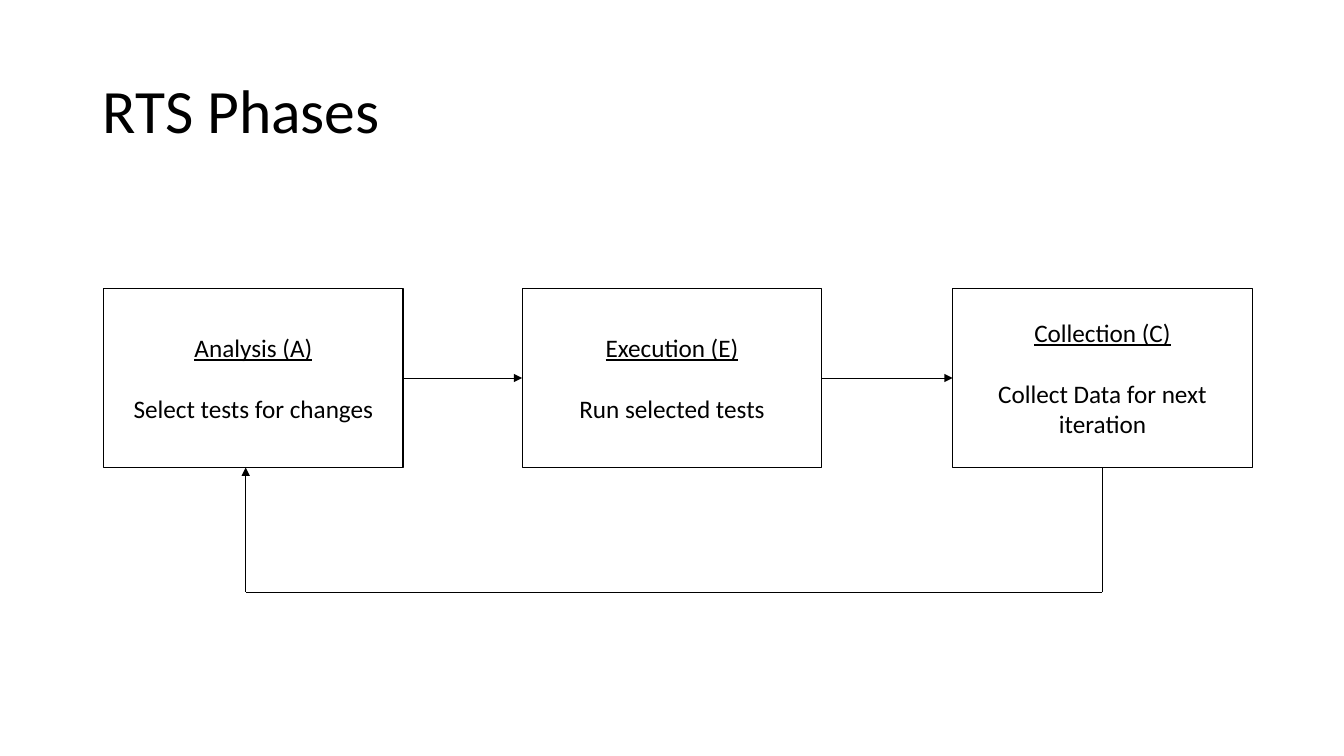
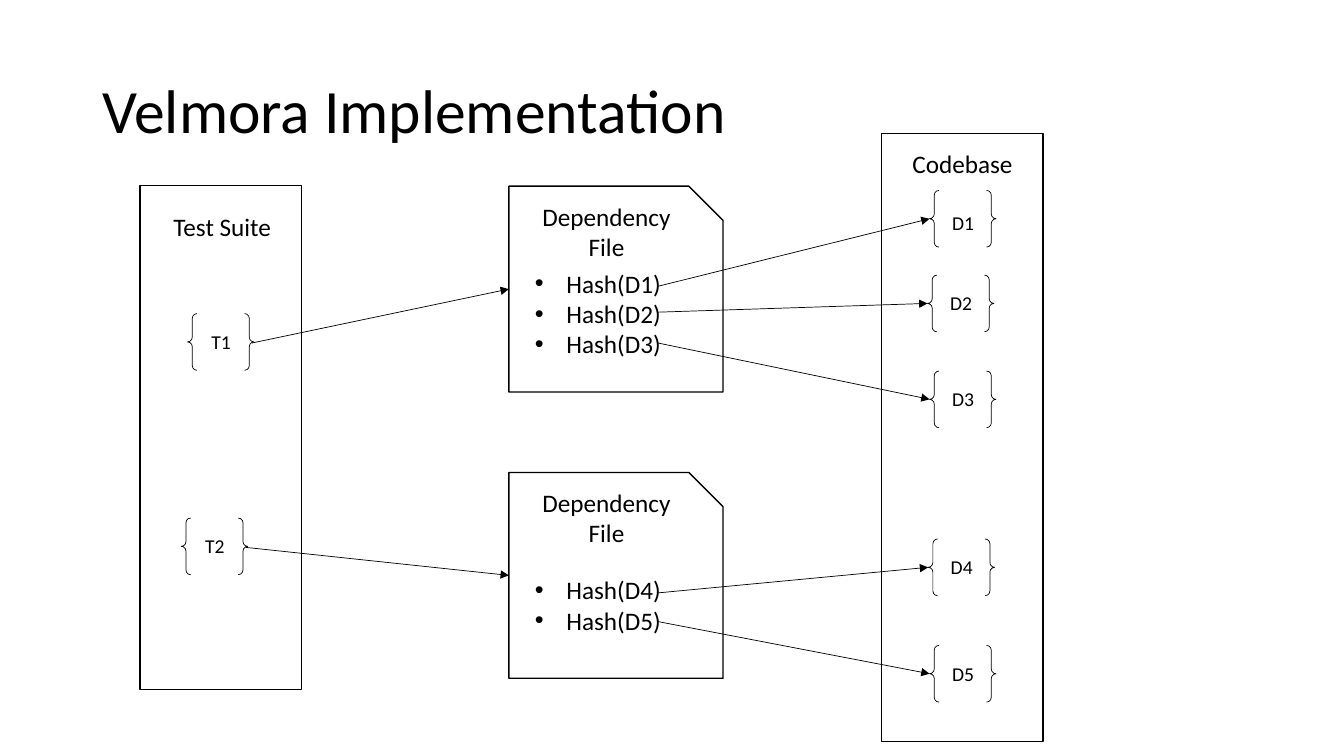
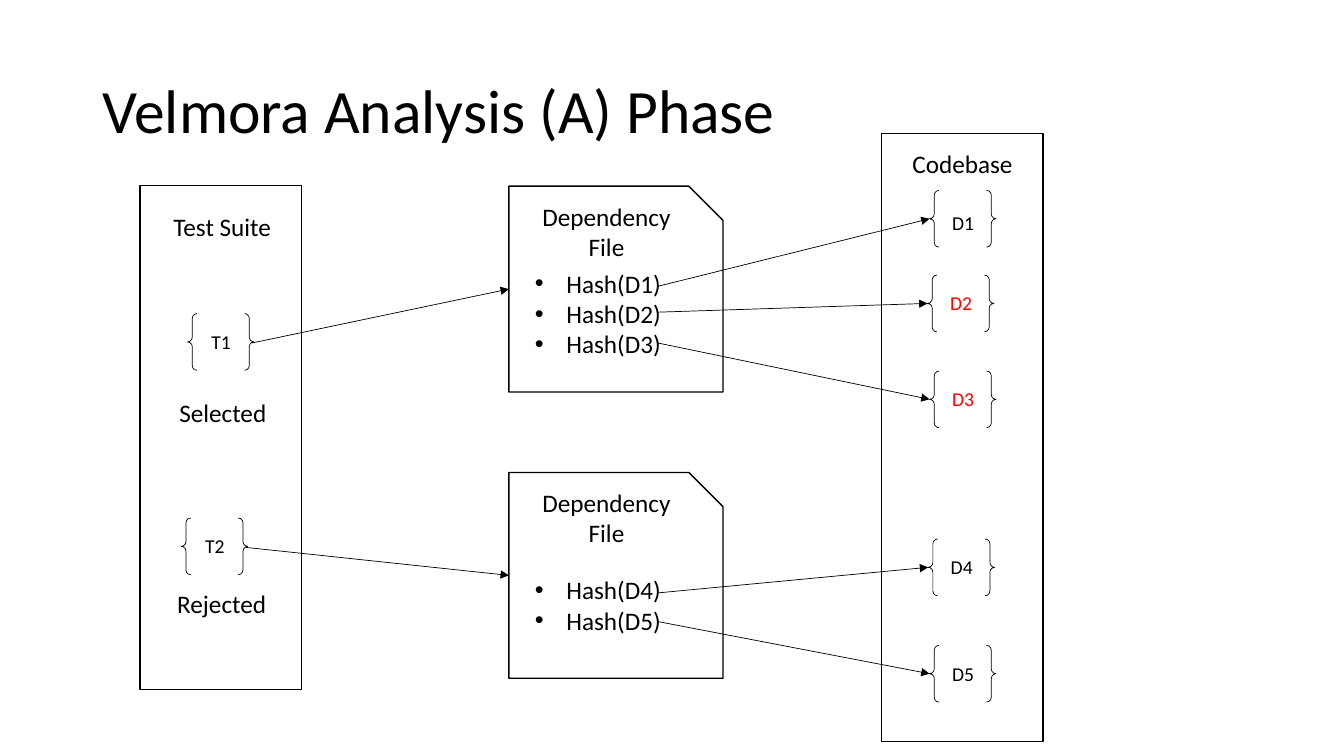
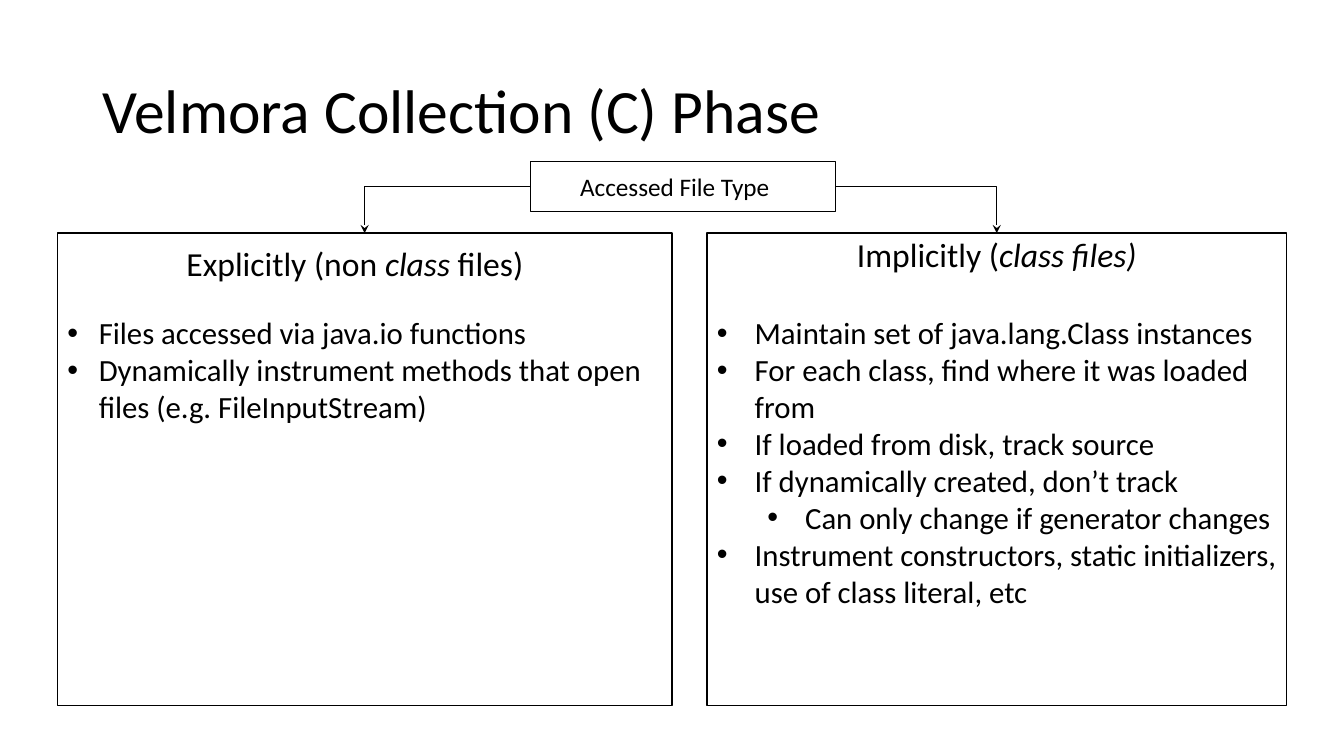
"""Build four slides on the phases of regression test selection."""
from dataclasses import dataclass
from itertools import pairwise

from lxml import etree
from pptx import Presentation
from pptx.dml.color import RGBColor
from pptx.enum import shapes as kinds, text as texts
from pptx.oxml.ns import qn
from pptx.util import Pt

FONT = "Calibri"
TOOL = "Velmora"
BLACK, WHITE, RED = "000000", "FFFFFF", "FF0000"
THIN, BOLD = 0.5, 1
TOP, LEFT, BOTTOM, RIGHT = range(4)
FORM, LINK = kinds.MSO_SHAPE, kinds.MSO_CONNECTOR


@dataclass(frozen=True)
class Box:
    """Left, top, width and height in points."""
    x: float
    y: float
    w: float
    h: float


@dataclass(frozen=True)
class Para:
    """A paragraph; parts between asterisks are italic."""
    text: str
    size: int = 18
    center: bool = True
    under: bool = False
    color: str = BLACK
    gap: float = 0
    left: float = 0
    hang: float = 0
    level: int = 0


@dataclass(frozen=True)
class Node:
    """A named unit in braces; drop is how far its label sits below the top."""
    name: str
    x: float
    y: float
    drop: float = 8


@dataclass(frozen=True)
class Card:
    """A dependency file with its test, its units and where their arrows start."""
    y: float
    test: Node
    list_y: float
    units: tuple
    starts: tuple


CARDS = (
    Card(133, Node("T1", 134, 224), 188,
         (Node("D1", 664, 136, 11), Node("D2", 662.5, 196.5), Node("D3", 664, 265)),
         (204.5, 223, 245)),
    Card(337.5, Node("T2", 129.5, 370), 407,
         (Node("D4", 663, 385), Node("D5", 664, 461)),
         (423.5, 444)),
)
PHASES = (
    (74, "Analysis (A)", "Select tests for changes"),
    (373, "Execution (E)", "Run selected tests"),
    (680.5, "Collection (C)", "Collect Data for next iteration"),
)
EXPLICIT = (
    "Files accessed via java.io functions",
    "Dynamically instrument methods that open files (e.g. FileInputStream)",
)
IMPLICIT = (
    "Maintain set of java.lang.Class instances",
    "For each class, find where it was loaded from",
    "If loaded from disk, track source",
    "If dynamically created, don’t track",
    "\tCan only change if generator changes",
    "Instrument constructors, static initializers, use of class literal, etc",
)


def rgb(code: str) -> RGBColor:
    """Turn a hex string into a colour."""
    return RGBColor.from_string(code)


def write(frame, paras) -> None:
    """Fill a text frame with paragraphs."""
    frame.word_wrap = True
    for i, para in enumerate(paras):
        p = frame.paragraphs[0] if i == 0 else frame.add_paragraph()
        p.level = para.level
        p.alignment = texts.PP_ALIGN.CENTER if para.center else texts.PP_ALIGN.LEFT
        if para.gap:
            p.space_before = Pt(para.gap)
        if para.hang:
            props = p._p.get_or_add_pPr()
            props.set("marL", str(Pt(para.left)))
            props.set("indent", str(-Pt(para.hang)))
            etree.SubElement(props, qn("a:buFont")).set("typeface", "Arial")
            etree.SubElement(props, qn("a:buChar")).set("char", "•")
        font = p.font
        font.name, font.size, font.underline = FONT, Pt(para.size), para.under
        font.color.rgb = rgb(para.color)
        for n, part in enumerate(para.text.split("*")):
            if part:
                run = p.add_run()
                run.text = part
                if n % 2:
                    run.font.italic = True


def label(slide, box: Box, *paras: Para) -> None:
    """Add a text box."""
    area = slide.shapes.add_textbox(Pt(box.x), Pt(box.y), Pt(box.w), Pt(box.h))
    write(area.text_frame, paras)


def draw(slide, form, box: Box, fill: str = "", width: float = BOLD):
    """Add an outlined preset shape."""
    shape = slide.shapes.add_shape(form, Pt(box.x), Pt(box.y), Pt(box.w), Pt(box.h))
    shape.shadow.inherit = False
    if fill:
        shape.fill.solid()
        shape.fill.fore_color.rgb = rgb(fill)
    else:
        shape.fill.background()
    shape.line.color.rgb = rgb(BLACK)
    shape.line.width = Pt(width)
    return shape


def link(slide, start=(0, 0), end=(0, 0), head: str = "triangle", form=LINK.STRAIGHT):
    """Add a thin line, with an arrowhead at its end if one is named."""
    line = slide.shapes.add_connector(form, *map(Pt, (*start, *end)))
    line.line.color.rgb = rgb(BLACK)
    line.line.width = Pt(THIN)
    if head:
        etree.SubElement(line.line._get_or_add_ln(), qn("a:tailEnd")).set("type", head)
    etree.SubElement(line._element.spPr, qn("a:effectLst"))
    return line


def join(line, first, side: int, last, goal: int) -> None:
    """Glue a line to the sides of two shapes."""
    line.begin_connect(first, side)
    line.end_connect(last, goal)


def begin(deck, title: str):
    """Add a slide with the shared title style."""
    slide = deck.slides.add_slide(deck.slide_layouts[5])
    head = slide.shapes.title
    head.left, head.top, head.width, head.height = map(Pt, (66, 29, 828, 104))
    frame = head.text_frame
    frame.vertical_anchor = texts.MSO_ANCHOR.MIDDLE
    write(frame, [Para(title, 44, center=False)])
    frame.paragraphs[0].line_spacing = 0.9
    return slide


def phases(deck) -> None:
    """Draw the cycle of three phases."""
    slide = begin(deck, "RTS Phases")
    steps = []
    for x, name, task in PHASES:
        step = draw(slide, FORM.RECTANGLE, Box(x, 206, 214, 128), WHITE)
        step.text_frame.vertical_anchor = texts.MSO_ANCHOR.MIDDLE
        write(step.text_frame, [Para(name, under=True), Para(task, gap=22)])
        steps.append(step)
    for first, last in pairwise(steps):
        join(link(slide), first, RIGHT, last, LEFT)
    bends = ((787.5, 334), (787.5, 423), (175.5, 423), (175.5, 334))
    for i, (start, end) in enumerate(pairwise(bends)):
        link(slide, start, end, "triangle" if i == 2 else "")


def brace(slide, node: Node, color: str = BLACK) -> None:
    """Draw a named pair of braces."""
    draw(slide, FORM.DOUBLE_BRACE, Box(node.x, node.y, 47.5, 40.5), width=THIN)
    label(slide, Box(node.x + 8.5, node.y + node.drop, 31, 24),
          Para(node.name, 14, color=color))


def graph(deck, title: str, changed=(), marks=()) -> None:
    """Draw tests, dependency files and code, with changed units in red."""
    slide = begin(deck, title)
    draw(slide, FORM.RECTANGLE, Box(100, 132.5, 115.5, 360))
    label(slide, Box(110.5, 147.5, 96.5, 29), Para("Test Suite"))
    draw(slide, FORM.RECTANGLE, Box(629.5, 95.5, 115.5, 434))
    label(slide, Box(641, 102.5, 93, 29), Para("Codebase"))
    for card in CARDS:
        draw(slide, FORM.SNIP_1_RECTANGLE, Box(363.5, card.y, 153, 147), WHITE)
        label(slide, Box(369.5, card.y + 7, 127.5, 51), Para("Dependency File"))
        label(slide, Box(375, card.list_y, 129.5, 94),
              *(Para(f"Hash({u.name})", center=False, left=22.5, hang=22.5)
                for u in card.units))
        test = card.test
        brace(slide, test)
        link(slide, (test.x + 46, test.y + 21), (363.5, card.y + 73.5))
        for unit, start in zip(card.units, card.starts):
            brace(slide, unit, RED if unit.name in changed else BLACK)
            link(slide, (470, start), (unit.x, unit.y + 20.25))
    for mark, x, y in marks:
        label(slide, Box(x, y, 78.5, 29), Para(mark, center=False))


def panel(slide, box: Box, area: Box, head: str, items, gap: float, hang: float):
    """Draw a framed heading with bullets; a leading tab marks a sub-item."""
    frame = draw(slide, FORM.RECTANGLE, box)
    paras = [Para(head, 24)]
    for i, item in enumerate(items):
        sub = item.startswith("\t")
        paras.append(Para(item.strip(), 22, center=False, gap=0 if i else gap,
                          left=hang + 36 * sub, hang=hang, level=int(sub)))
    label(slide, area, *paras)
    return frame


def collect(deck) -> None:
    """Draw the two ways in which files are accessed."""
    slide = begin(deck, f"{TOOL} Collection (C) Phase")
    root = draw(slide, FORM.RECTANGLE, Box(379, 115.5, 218, 35.5))
    label(slide, Box(352, 119, 260, 29), Para("Accessed File Type"))
    left = panel(slide, Box(41, 166.5, 439, 337.5), Box(41, 170, 425, 138),
                 "Explicitly (non *class* files)", EXPLICIT, 22, 22.5)
    right = panel(slide, Box(505, 166.5, 414, 337.5), Box(505, 163.5, 414, 305),
                  "Implicitly (*class files)*", IMPLICIT, 28.5, 27)
    for side, goal in ((LEFT, left), (RIGHT, right)):
        line = link(slide, head="stealth", form=LINK.ELBOW)
        line._element.spPr.find(qn("a:prstGeom")).set("prst", "bentConnector2")
        join(line, root, side, goal, TOP)


def main() -> None:
    """Build and save the deck."""
    deck = Presentation()
    deck.slide_width, deck.slide_height = Pt(960), Pt(540)
    phases(deck)
    graph(deck, f"{TOOL} Implementation")
    graph(deck, f"{TOOL} Analysis (A) Phase", ("D2", "D3"),
          (("Selected", 121, 280), ("Rejected", 119.5, 417)))
    collect(deck)
    deck.save("out.pptx")


if __name__ == "__main__":
    main()
